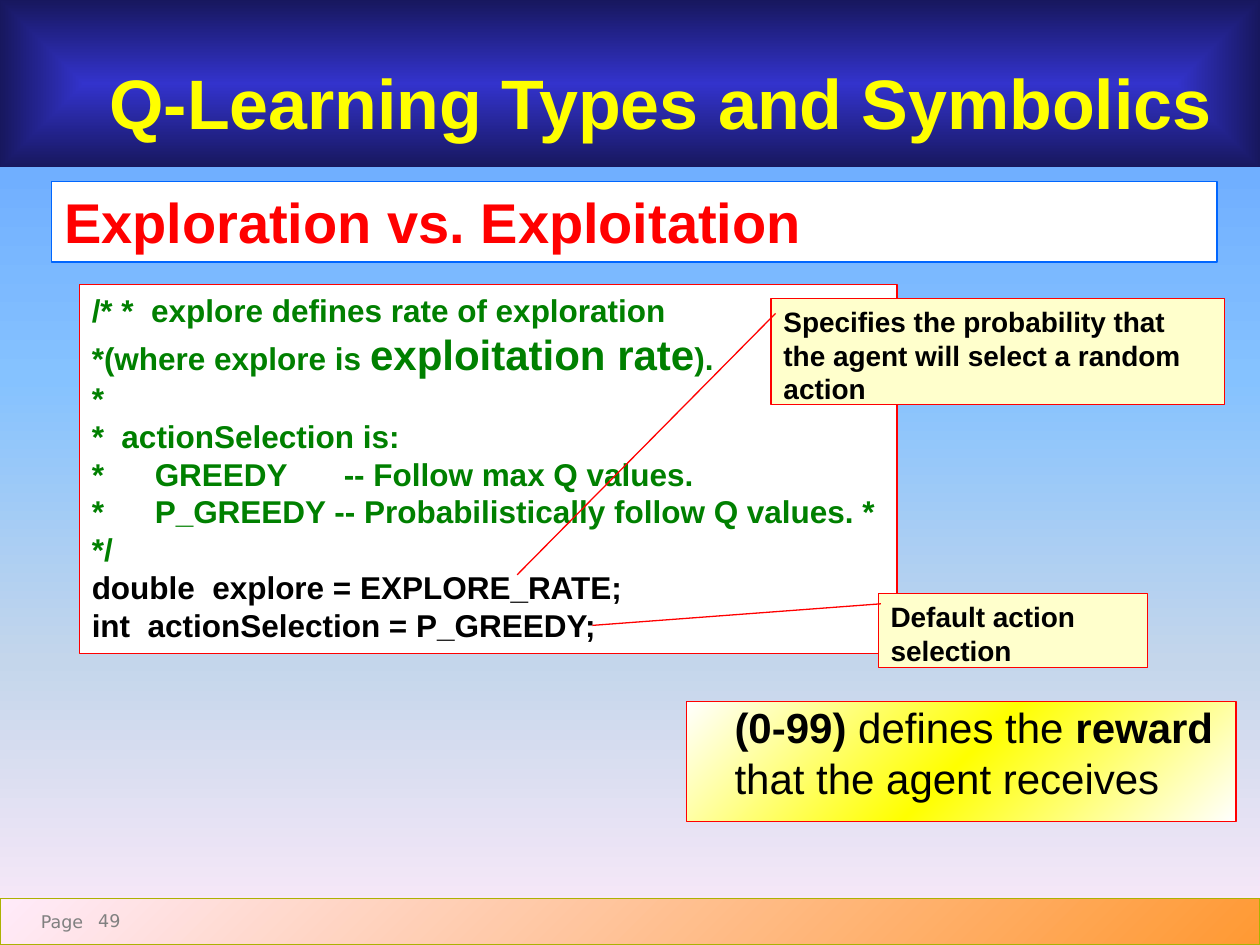
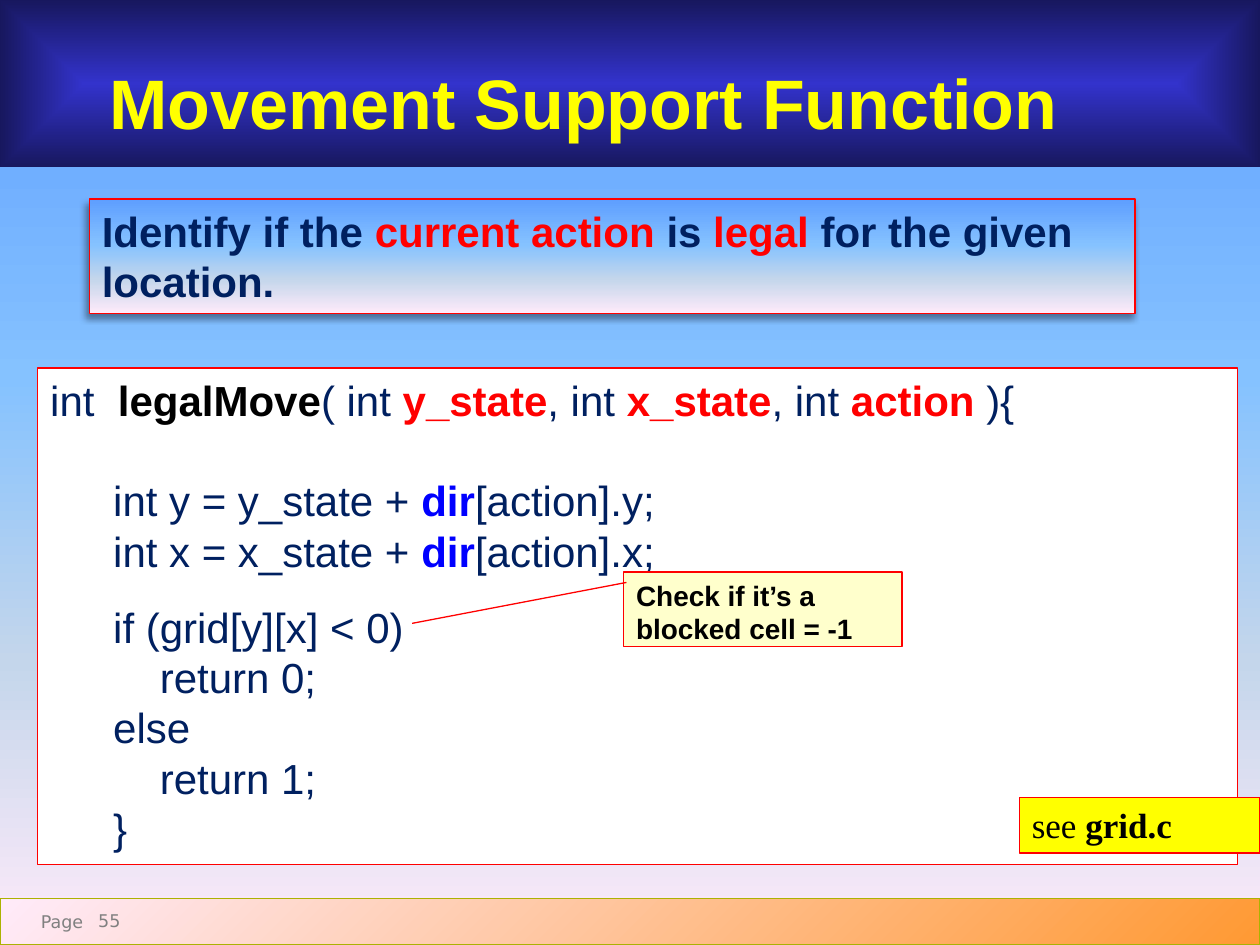
from lxml import etree
from pptx import Presentation
from pptx import util as u
from pptx.dml.color import RGBColor
from pptx.enum import shapes, text
from pptx.oxml.ns import nsdecls, qn

NAVY, RED, GREEN, BLACK, BLUE = "002060", "FF0000", "008000", "000000", "0000FF"
YELLOW, CREAM, WHITE, GREY = "FFFF00", "FFFFCC", "FFFFFF", "808080"
DOWN, DIAGONAL = '<a:lin ang="5400000" scaled="0"/>', '<a:lin ang="2700000" scaled="0"/>'
CENTRE = ('<a:path path="rect"><a:fillToRect l="50000" t="50000" '
          'r="50000" b="50000"/></a:path>')
SKY = ([(0, "5E9EFF"), (40, "85C2FF"), (70, "C4D6EB"), (100, "FFEBFA")], DOWN)
TITLE_BAND = ([(0, "3333CC"), (100, "17175E")], CENTRE)
FOOTER_BAND = ([(0, "FFEBFA"), (100, "FF9933")], DIAGONAL)
REWARD_GLOW = ([(0, WHITE), (50, YELLOW), (100, WHITE)], DIAGONAL)
RECT, CALLOUT = shapes.MSO_SHAPE.RECTANGLE, shapes.MSO_SHAPE.LINE_CALLOUT_1


def paint(fill, colour, owner=None):
    """Fill with a hex colour, or with (stops, direction) as a gradient."""
    if isinstance(colour, str):
        fill.solid()
        fill.fore_color.rgb = RGBColor.from_string(colour)
        return
    stops, direction = colour
    fill.gradient()
    gradient = next(owner._element.iter(qn("a:gradFill")))
    stop_xml = "".join(f'<a:gs pos="{pos * 1000}"><a:srgbClr val="{c}"/></a:gs>'
                       for pos, c in stops)
    fresh = etree.fromstring(f'<a:gradFill {nsdecls("a")} rotWithShape="1">'
                             f'<a:gsLst>{stop_xml}</a:gsLst>{direction}</a:gradFill>')
    gradient[:] = list(fresh)


def box(slide, at, paragraphs=(), fill=None, line=None, kind=RECT,
        insets=(0.1, 0.05, 0.1, 0.05), wrap=True, adjust=(), **base):
    """Add a box; a paragraph is (format, runs), a run is (text, font changes)."""
    place = [u.Inches(v) for v in at]
    if fill:
        shape = slide.shapes.add_shape(kind, *place)
        shape.shadow.inherit = False
        paint(shape.fill, fill, shape)
        if line:
            paint(shape.line.fill, line)
            shape.line.width = u.Pt(0.75)
        else:
            shape.line.fill.background()
    else:
        shape = slide.shapes.add_textbox(*place)
    for i, value in enumerate(adjust):
        shape.adjustments[i] = value
    frame = shape.text_frame
    frame.word_wrap = wrap
    frame.vertical_anchor = text.MSO_ANCHOR.TOP
    for side, inset in zip(("left", "top", "right", "bottom"), insets):
        setattr(frame, f"margin_{side}", u.Inches(inset))
    for i, (layout, runs) in enumerate(paragraphs):
        para = frame.paragraphs[0] if i == 0 else frame.add_paragraph()
        para.alignment = layout.get("align", text.PP_ALIGN.LEFT)
        para.space_before = u.Pt(layout.get("before", 0))
        props = para._p.get_or_add_pPr()
        props.set("marL", str(u.Inches(layout.get("left", 0))))
        props.set("indent", "0")
        if "tabs" in layout:
            stops = etree.SubElement(props, qn("a:tabLst"))
            for stop in layout["tabs"]:
                etree.SubElement(stops, qn("a:tab"), pos=str(u.Inches(stop)), algn="l")
        for words, changes in runs:
            style = {"name": "Arial", "bold": False, "color": BLACK, **base, **changes}
            run = para.add_run()
            run.text = words
            paint(run.font.fill, style.pop("color"))
            style["size"] = u.Pt(style["size"])
            for name, value in style.items():
                setattr(run.font, name, value)
    return shape


prs = Presentation()
prs.slide_width, prs.slide_height = u.Inches(10), u.Inches(7.5)

# Shared background, title band and footer
pages = []
for title, number in (("Q-Learning Types and Symbolics", "49"),
                      ("Movement Support Function", "55")):
    slide = prs.slides.add_slide(prs.slide_layouts[6])
    paint(slide.background.fill, SKY, slide)
    box(slide, (0, 7.13, 10, 0.37), fill=FOOTER_BAND, line="ABB202")
    footer = dict(insets=(0, 0, 0, 0), size=10, name="DejaVu Sans", color=GREY)
    box(slide, (0.27, 7.23, 0.39, 0.17),
        [({"align": text.PP_ALIGN.RIGHT}, [("Page", {})])], wrap=False, **footer)
    box(slide, (0, 0, 10, 1.33), [({}, [(title, {})])], TITLE_BAND,
        insets=(0.87, 0.47, 0, 0), size=40, bold=True, color=YELLOW)
    box(slide, (0.78, 7.22, 0.33, 0.23), [({}, [(number, {})])], **footer)
    pages.append(slide)
learning, movement = pages
note = dict(fill=CREAM, line=RED, kind=CALLOUT, size=16, bold=True)

# Exploration: heading and declarations
box(learning, (0.41, 1.44, 9.25, 0.64), [({}, [("Exploration vs. Exploitation", {})])],
    WHITE, "0066FF", size=32, bold=True, color=RED)
columns = {"tabs": (0.37, 1.63)}
code = {"color": BLACK}
declarations = [
    ({}, [("/* *  explore defines rate of exploration", {})]),
    ({}, [("*(where explore is ", {}), ("exploitation rate", {"size": 24}), (").", {})]),
    ({}, [("*", {})]),
    ({}, [("*  actionSelection is:", {})]),
    (columns, [("*\tGREEDY\t-- Follow max Q values.", {})]),
    (columns, [("*\tP_GREEDY -- Probabilistically follow Q values. * */", {})]),
    ({}, [("double  explore = EXPLORE_RATE;", code)]),
    ({}, [("int  actionSelection = P_GREEDY;", code)]),
]
box(learning, (0.63, 2.26, 6.49, 2.93), declarations, WHITE, RED,
    size=18, bold=True, color=GREEN)

# Exploration: notes and reward
box(learning, (6.97, 4.71, 2.14, 0.59), [({}, [("Default action selection", {})])],
    adjust=(0.14, 0.01, 0.43, -1.06), **note)
strong = {"bold": True}
box(learning, (5.45, 5.57, 4.36, 0.95),
    [({"left": 0.38}, [("(0-99) ", strong), ("defines the ", {}), ("reward", strong),
                       (" that the agent receives", {})])],
    REWARD_GLOW, RED, insets=(0, 0, 0, 0), size=24)
box(learning, (6.12, 2.37, 3.6, 0.84),
    [({}, [("Specifies the probability that the agent will select a random action", {})])],
    adjust=(0.14, 0.01, 2.61, -0.56), **note)

# Movement: purpose, with a soft shadow
red = {"color": RED}
purpose = box(movement, (0.71, 1.58, 8.3, 0.91),
              [({}, [("Identify if the ", {}), ("current action ", red), ("is ", {}),
                     ("legal", red), (" for the given location.", {})])],
              SKY, RED, size=24, bold=True, color=NAVY)
effects = purpose._element.spPr.find(qn("a:effectLst"))
effects.append(etree.fromstring(
    f'<a:outerShdw {nsdecls("a")} blurRad="{u.Pt(4)}" dist="{u.Pt(3)}" dir="8100000" '
    'rotWithShape="0"><a:srgbClr val="000000"><a:alpha val="40000"/></a:srgbClr>'
    '</a:outerShdw>'))

# Movement: function listing
argument = {"color": RED, "bold": True}
table_name = {"color": BLUE, "bold": True}
body, nested = {"left": 0.5}, {"left": 0.87}
listing = [({}, [("int  ", {}), ("legalMove", {"color": BLACK, "bold": True}),
                 ("( int ", {}), ("y_state", argument), (", int ", {}),
                 ("x_state", argument), (", int ", {}), ("action", argument),
                 (" ){", {})])]
for axis, gap in (("y", 28.8), ("x", 0)):
    listing.append(({**body, "before": gap},
                    [(f"int {axis} = {axis}_state + ", {}), ("dir", table_name),
                     (f"[action].{axis};", {})]))
listing.append(({**body, "before": 14.5}, [("if (grid[y][x] < 0)", {})]))
for layout, words in ((nested, "return 0;"), (body, "else"),
                      (nested, "return 1;"), (body, "}")):
    listing.append((layout, [(words, {})]))
box(movement, (0.3, 2.92, 9.52, 3.94), listing, WHITE, RED, size=24, color=NAVY)

# Movement: file reference and note
box(movement, (8.09, 6.33, 1.91, 0.44), [({}, [("see ", {}), ("grid.c", strong)])],
    YELLOW, RED, size=20, name="Times New Roman")
box(movement, (4.95, 4.54, 2.21, 0.59),
    [({}, [("Check if it’s a blocked cell = -1", {})])],
    adjust=(0.14, 0.01, 0.69, -0.76), **note)

prs.save("out.pptx")
